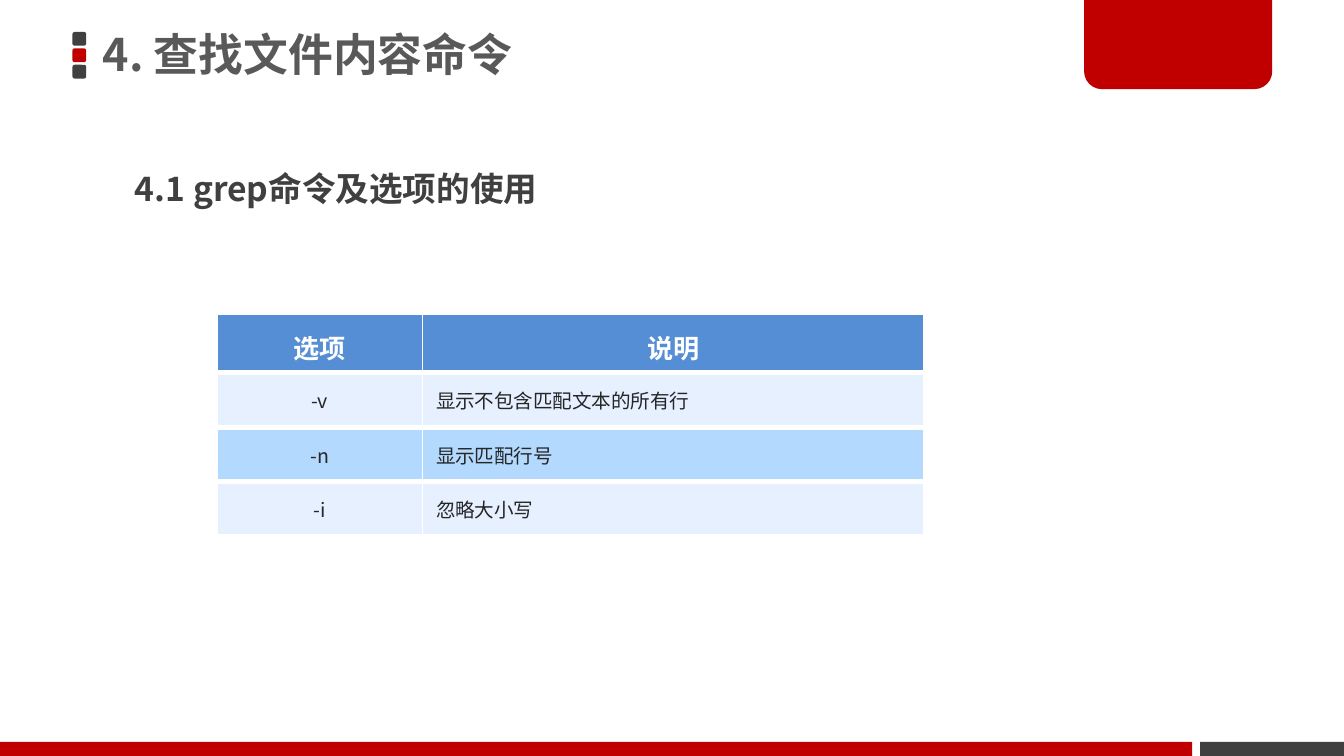
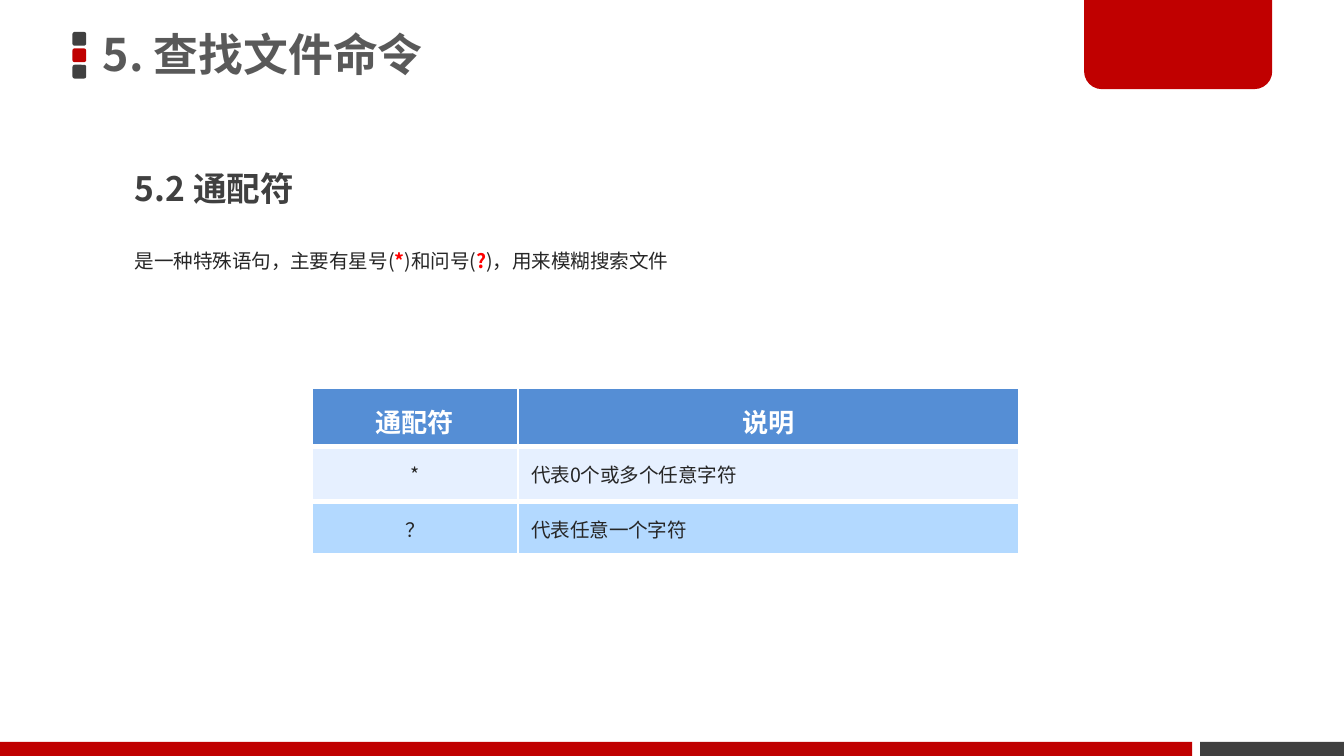
import dataclasses

import lxml.etree
import pptx
import pptx.dml.color
import pptx.enum.shapes
import pptx.enum.text
import pptx.oxml.ns
import pptx.util

Pt = pptx.util.Pt
SHAPE = pptx.enum.shapes.MSO_SHAPE
ALIGN = pptx.enum.text.PP_ALIGN
ANCHOR = pptx.enum.text.MSO_ANCHOR
FIT = pptx.enum.text.MSO_AUTO_SIZE
qn = pptx.oxml.ns.qn

SLIDE_WIDTH, SLIDE_HEIGHT = 720, 405


@dataclasses.dataclass(frozen=True)
class Theme:
    font: str = "Noto Sans CJK SC"
    red: str = "C00000"
    dark: str = "404040"
    title: str = "595959"
    body: str = "262626"
    accent: str = "FF0000"
    white: str = "FFFFFF"
    header_fill: str = "558ED5"
    row_fills: tuple = ("E6F0FF", "B3D9FF")
    title_size: float = 24
    heading_size: float = 18
    header_size: float = 14
    body_size: float = 10.5


THEME = Theme()


def rgb(colour):
    return pptx.dml.color.RGBColor.from_string(colour)


def write_text(frame, text, *, size=THEME.body_size, colour=THEME.body, bold=False,
               align=ALIGN.LEFT, spacing=None):
    """Fill the first paragraph; in a tuple of pieces every second one is accented."""
    paragraph = frame.paragraphs[0]
    paragraph.alignment = align
    paragraph.line_spacing = spacing
    pieces = (text,) if isinstance(text, str) else text
    for index, piece in enumerate(pieces):
        accented = index % 2 == 1
        run = paragraph.add_run()
        run.text = piece
        run.font.size = Pt(size)
        run.font.bold = bold or accented
        run.font.color.rgb = rgb(THEME.accent if accented else colour)
        run.font.name = THEME.font
        lxml.etree.SubElement(run.font._element, qn("a:ea"), typeface=THEME.font)


def add_text_box(slide, box, text, *, anchor=ANCHOR.TOP, insets=(7.2, 3.6),
                 fit=FIT.SHAPE_TO_FIT_TEXT, **text_format):
    frame = slide.shapes.add_textbox(*map(Pt, box)).text_frame
    frame.word_wrap = True
    frame.auto_size = fit
    frame.vertical_anchor = anchor
    frame.margin_left = frame.margin_right = Pt(insets[0])
    frame.margin_top = frame.margin_bottom = Pt(insets[1])
    write_text(frame, text, **text_format)


def add_block(shapes, preset, box, colour, adjustments=()):
    block = shapes.add_shape(preset, *map(Pt, box))
    block.shadow.inherit = False
    block.fill.solid()
    block.fill.fore_color.rgb = rgb(colour)
    block.line.fill.background()
    for index, value in enumerate(adjustments):
        block.adjustments[index] = value


def add_title_marker(slide, left, top, side=7.4, pitch=8.8):
    marker = slide.shapes.add_group_shape()
    for index, colour in enumerate((THEME.dark, THEME.red, THEME.dark)):
        box = (left, top + index * pitch, side, side)
        add_block(marker.shapes, SHAPE.ROUNDED_RECTANGLE, box, colour, (0.167,))


def add_footer(slide, height=7.5, red_width=638.7, gap=4.3):
    top = SLIDE_HEIGHT - height
    dark_left = red_width + gap
    add_block(slide.shapes, SHAPE.RECTANGLE,
              (dark_left, top, SLIDE_WIDTH - dark_left, height), THEME.dark)
    add_block(slide.shapes, SHAPE.RECTANGLE, (0, top, red_width, height), THEME.red)


def add_content_slide(deck, title, heading):
    slide = deck.slides.add_slide(deck.slide_layouts[6])
    add_title_marker(slide, 38.8, 17.1)
    add_block(slide.shapes, SHAPE.ROUND_2_SAME_RECTANGLE, (580.8, 0, 100.8, 47.8),
              THEME.red, (0, 0.2))
    add_footer(slide)
    add_text_box(slide, (49.7, -1.5, 424, 64), title, anchor=ANCHOR.MIDDLE,
                 insets=(5.4, 2.7), fit=FIT.NONE, size=THEME.title_size,
                 colour=THEME.title, bold=True, spacing=0.9)
    add_text_box(slide, (65.2, 75.6, 340, 40.3), heading, size=THEME.heading_size,
                 colour=THEME.dark, bold=True, spacing=1.5)
    return slide


def set_cell_borders(cell, **widths):
    """Draw white borders; widths are keyed by side: L, R, T, B."""
    properties = cell._tc.get_or_add_tcPr()
    for side, width in widths.items():
        border = lxml.etree.SubElement(properties, qn(f"a:ln{side}"), w=str(Pt(width)))
        fill = lxml.etree.SubElement(border, qn("a:solidFill"))
        lxml.etree.SubElement(fill, qn("a:srgbClr"), val=THEME.white)


def add_meaning_table(slide, left, top, rows, columns=(110.2, 268.6),
                      header_height=31.2, row_height=29.2):
    """Place a table whose first row is its header."""
    heights = [header_height] + [row_height] * (len(rows) - 1)
    table = slide.shapes.add_table(len(rows), len(columns), Pt(left), Pt(top),
                                   Pt(sum(columns)), Pt(sum(heights))).table
    table.horz_banding = False
    for column, width in zip(table.columns, columns):
        column.width = Pt(width)
    for row_index, (texts, height) in enumerate(zip(rows, heights)):
        is_header = row_index == 0
        table.rows[row_index].height = Pt(height)
        for column_index, text in enumerate(texts):
            cell = table.cell(row_index, column_index)
            set_cell_borders(cell, L=1, R=1, T=1 if is_header else 3, B=3)
            cell.fill.solid()
            if is_header:
                cell.fill.fore_color.rgb = rgb(THEME.header_fill)
                write_text(cell.text_frame, text, size=THEME.header_size,
                           colour=THEME.white, bold=True, align=ALIGN.CENTER,
                           spacing=Pt(24))
            else:
                cell.fill.fore_color.rgb = rgb(THEME.row_fills[(row_index - 1) % 2])
                cell.vertical_anchor = ANCHOR.MIDDLE
                write_text(cell.text_frame, text,
                           align=ALIGN.LEFT if column_index else ALIGN.CENTER)


def add_grep_slide(deck):
    slide = add_content_slide(deck, "4. 查找文件内容命令", "4.1 grep命令及选项的使用")
    add_meaning_table(slide, 116.2, 168.5, [
        ("选项", "说明"),
        ("-v", "显示不包含匹配文本的所有行"),
        ("-n", "显示匹配行号"),
        ("-i", "忽略大小写"),
    ])


def add_wildcard_slide(deck):
    slide = add_content_slide(deck, "5. 查找文件命令", "5.2 通配符")
    add_text_box(slide, (65.2, 130, 607, 20),
                 ("是一种特殊语句，主要有星号(", "*", ")和问号(", "?", ")，用来模糊搜索文件"))
    add_meaning_table(slide, 167.2, 208.2, [
        ("通配符", "说明"),
        ("*", "代表0个或多个任意字符"),
        ("？", "代表任意一个字符"),
    ])


def main():
    deck = pptx.Presentation()
    deck.slide_width, deck.slide_height = Pt(SLIDE_WIDTH), Pt(SLIDE_HEIGHT)
    add_grep_slide(deck)
    add_wildcard_slide(deck)
    deck.save("out.pptx")


if __name__ == "__main__":
    main()
